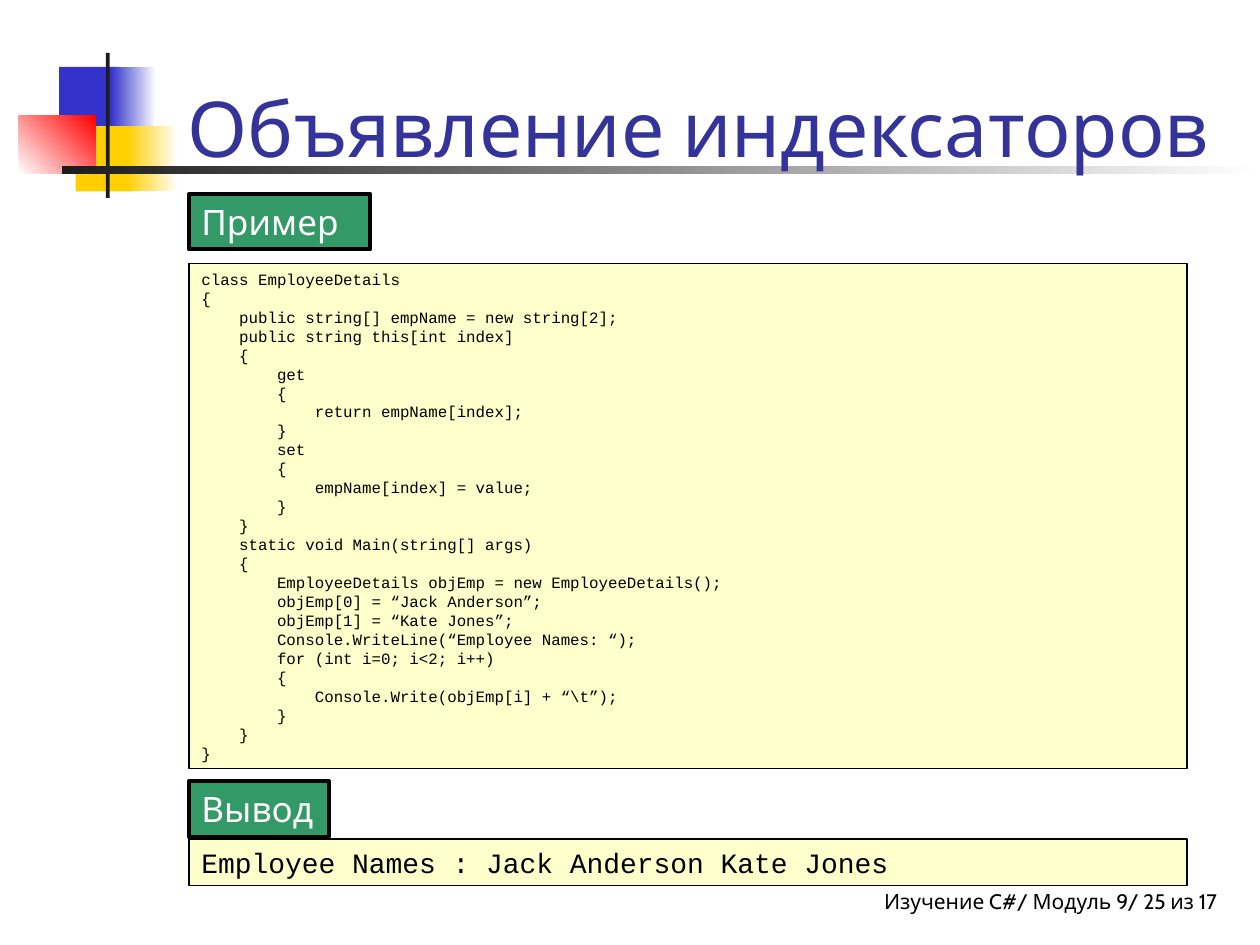
"""Builds a slide on declaring indexers in C#, with a code example and its output."""
import pptx
import pptx.dml.color
import pptx.enum.shapes
import pptx.enum.text
import pptx.util

Inches, Pt = pptx.util.Inches, pptx.util.Pt
RGBColor = pptx.dml.color.RGBColor
ALIGN = pptx.enum.text.PP_ALIGN
ANCHOR = pptx.enum.text.MSO_ANCHOR
AUTO_SIZE = pptx.enum.text.MSO_AUTO_SIZE

BLACK = RGBColor(0x00, 0x00, 0x00)
WHITE = RGBColor(0xFF, 0xFF, 0xFF)
CHARCOAL = RGBColor(0x1C, 0x1C, 0x1C)
BLUE = RGBColor(0x33, 0x33, 0xCC)
YELLOW = RGBColor(0xFF, 0xCF, 0x01)
RED = RGBColor(0xFF, 0x00, 0x00)
INDIGO = RGBColor(0x33, 0x33, 0x99)
GREEN = RGBColor(0x33, 0x99, 0x66)
CREAM = RGBColor(0xFF, 0xFF, 0xCC)

BODY_FONT, CODE_FONT = "Cabin", "Courier New"

TITLE = "Объявление индексаторов"
FOOTER = "Изучение C#/ Модуль 9/ 25 из 17"
OUTPUT = "Employee Names : Jack Anderson Kate Jones"
CODE = r"""class EmployeeDetails
{
    public string[] empName = new string[2];
    public string this[int index]
    {
        get
        {
            return empName[index];
        }
        set
        {
            empName[index] = value;
        }
    }
    static void Main(string[] args)
    {
        EmployeeDetails objEmp = new EmployeeDetails();
        objEmp[0] = “Jack Anderson”;
        objEmp[1] = “Kate Jones”;
        Console.WriteLine(“Employee Names: “);
        for (int i=0; i<2; i++)
        {
            Console.Write(objEmp[i] + “\t”);
        }
    }
}"""

ORNAMENTS = [
    ((0.47, 0.53, 0.48, 0.52), (BLUE,), 0),
    ((0.88, 0.53, 0.36, 0.52), (BLUE, WHITE), 0),
    ((0.6, 1, 0.46, 0.52), (YELLOW,), 0),
    ((1.01, 1, 0.4, 0.52), (YELLOW, WHITE), 0),
    ((0.15, 0.92, 0.61, 0.46), (WHITE, RED), 45),
    ((0.84, 0.42, 0.03, 1.15), (CHARCOAL,), 0),
    ((0.49, 1.32, 9.51, 0.06), (CHARCOAL, WHITE), 0),
]

LEFT, PANEL_WIDTH, LABEL_HEIGHT = 1.5, 7.92, 0.44
LABEL_STYLE = (GREEN, 2.25, BODY_FONT, 20, WHITE)
BOXES = [
    ("Вывод", (LEFT, 6.2, 1.11, LABEL_HEIGHT), LABEL_STYLE),
    (CODE, (LEFT, 2.09, PANEL_WIDTH, 4.01), (CREAM, 0.75, CODE_FONT, 9, BLACK)),
    ("Пример", (LEFT, 1.54, 1.44, LABEL_HEIGHT), LABEL_STYLE),
    (OUTPUT, (LEFT, 6.66, PANEL_WIDTH, 0.37), (CREAM, 0.75, CODE_FONT, 16, BLACK)),
]


def write(frame, text, font, size, color, align=ALIGN.LEFT):
    frame.word_wrap = True
    for index, line in enumerate(text.splitlines()):
        paragraph = frame.add_paragraph() if index else frame.paragraphs[0]
        paragraph.alignment = align
        run = paragraph.add_run()
        run.text = line
        run.font.name = font
        run.font.size = Pt(size)
        run.font.color.rgb = color


def add_rectangle(slide, place, colors, angle=0):
    rectangle = slide.shapes.add_shape(
        pptx.enum.shapes.MSO_SHAPE.RECTANGLE, *map(Inches, place))
    rectangle.shadow.inherit = False
    rectangle.line.fill.background()
    if len(colors) == 1:
        rectangle.fill.solid()
        rectangle.fill.fore_color.rgb = colors[0]
    else:
        rectangle.fill.gradient()
        rectangle.fill.gradient_angle = angle
        for position, (stop, color) in enumerate(zip(rectangle.fill.gradient_stops, colors)):
            stop.position = position
            stop.color.rgb = color
    return rectangle


def add_box(slide, text, place, style):
    fill, border, font, size, color = style
    box = add_rectangle(slide, place, (fill,))
    box.line.color.rgb = BLACK
    box.line.width = Pt(border)
    box.text_frame.vertical_anchor = ANCHOR.TOP
    box.text_frame.auto_size = AUTO_SIZE.SHAPE_TO_FIT_TEXT
    write(box.text_frame, text, font, size, color)


def main():
    deck = pptx.Presentation()
    deck.slide_width, deck.slide_height = Inches(10), Inches(7.5)
    slide = deck.slides.add_slide(deck.slide_layouts[5])

    footer = slide.shapes.add_textbox(*map(Inches, (4.58, 7, 5.08, 0.33))).text_frame
    footer.margin_right = 0
    footer.auto_size = AUTO_SIZE.SHAPE_TO_FIT_TEXT
    write(footer, FOOTER, BODY_FONT, 12, BLACK, ALIGN.RIGHT)

    for ornament in ORNAMENTS:
        add_rectangle(slide, *ornament)

    title = slide.shapes.title
    title.left, title.top, title.width, title.height = map(Inches, (1.39, 0.17, 8.52, 1.25))
    title.text_frame.vertical_anchor = ANCHOR.BOTTOM
    title.text_frame.auto_size = AUTO_SIZE.NONE
    write(title.text_frame, TITLE, BODY_FONT, 44, INDIGO)
    title.element.getparent().append(title.element)

    for box in BOXES:
        add_box(slide, *box)

    deck.save("out.pptx")


if __name__ == "__main__":
    main()
